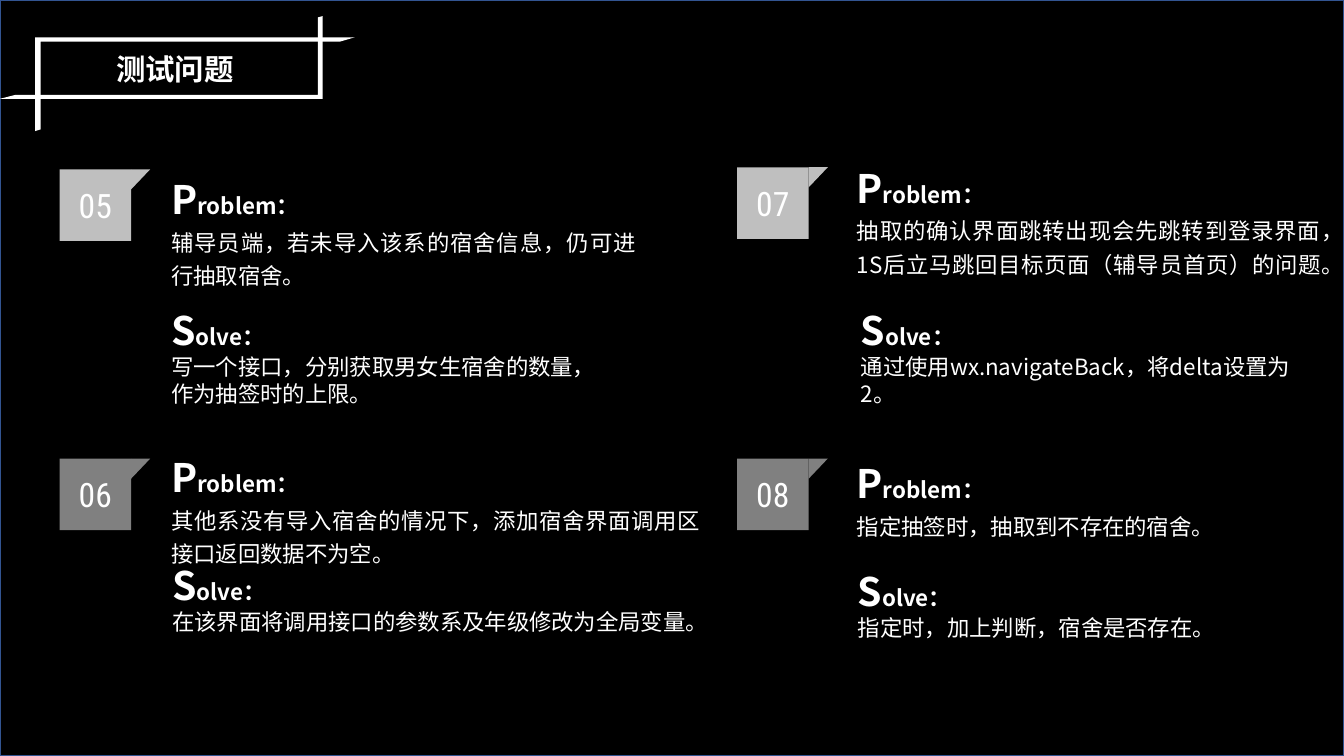
"""Build the slide of test problems 05 to 08 with their solutions."""
from pptx import Presentation
from pptx import util as u
from pptx.dml.color import RGBColor
from pptx.enum import shapes, text
from pptx.oxml.ns import qn
from lxml import etree

WIDTH, HEIGHT = 13.33, 7.5
BADGE, FOLD_WIDTH, FOLD_HEIGHT = 0.71, 0.19, 0.2
LATIN, CHINESE = "Roboto Condensed", "Noto Sans CJK SC"
COLOURS = {"black": "000000", "white": "FFFFFF", "edge": "325491", "light": "BFBFBF", "dark": "808080"}
LEFT_COLUMN, RIGHT_COLUMN = 0.59, 7.31


def add_block(parent, kind, bounds, colour, adjustments=()):
    block = parent.add_shape(kind, *map(u.Inches, bounds))
    block.shadow.inherit = False
    block.fill.solid()
    block.fill.fore_color.rgb = RGBColor.from_string(COLOURS[colour])
    block.line.fill.background()
    for index, value in enumerate(adjustments):
        block.adjustments[index] = value
    return block


def add_span(para, words, font, size, bold=False):
    span = para.add_run()
    span.text = words
    for name, value in {"name": font, "size": u.Pt(size), "bold": bold}.items():
        setattr(span.font, name, value)
    span.font.color.rgb = RGBColor.from_string(COLOURS["white"])
    etree.SubElement(span.font._element, qn("a:ea"), typeface=CHINESE)


deck = Presentation()
deck.slide_width, deck.slide_height = u.Inches(WIDTH), u.Inches(HEIGHT)
page = deck.slides.add_slide(deck.slide_layouts[5])

backdrop = add_block(page.shapes, shapes.MSO_SHAPE.RECTANGLE, (0, 0, WIDTH, HEIGHT), "black")
backdrop.line.color.rgb = RGBColor.from_string(COLOURS["edge"])
backdrop.line.width = u.Pt(1)

title = page.shapes.title
title.element.addprevious(backdrop.element)
for name, value in zip(("left", "top", "width", "height"), (1.04, 0.46, 1.39, 0.45)):
    setattr(title, name, u.Inches(value))
title.text_frame.word_wrap = False
title.text_frame.auto_size = text.MSO_AUTO_SIZE.SHAPE_TO_FIT_TEXT
title.text_frame.vertical_anchor = text.MSO_ANCHOR.TOP
heading = title.text_frame.paragraphs[0]
heading.alignment = text.PP_ALIGN.CENTER
add_span(heading, "测试问题", LATIN, 21, True)

for bounds, angle in (((0.35, 0.37, 3.17, 0.93), 0), ((0, 0.16, 3.2, 0.82), 180)):
    frame = add_block(page.shapes, shapes.MSO_SHAPE.HALF_FRAME, bounds, "white", (0.048, 0.057))
    frame.rotation = angle

badges = [
    ("05", LEFT_COLUMN, 1.68, "light"),
    ("06", LEFT_COLUMN, 4.55, "dark"),
    ("07", RIGHT_COLUMN, 1.66, "light"),
    ("08", RIGHT_COLUMN, 4.55, "dark"),
]
for number, left, top, colour in badges:
    badge = page.shapes.add_group_shape()
    square = add_block(badge.shapes, shapes.MSO_SHAPE.RECTANGLE, (left, top, BADGE, BADGE), colour)
    square.text_frame.vertical_anchor = text.MSO_ANCHOR.MIDDLE
    label = square.text_frame.paragraphs[0]
    label.alignment = text.PP_ALIGN.CENTER
    add_span(label, number, LATIN, 24)
    fold_bounds = (left + BADGE, top, FOLD_WIDTH, FOLD_HEIGHT)
    fold = add_block(badge.shapes, shapes.MSO_SHAPE.ISOSCELES_TRIANGLE, fold_bounds, colour, (0,))
    fold.element.spPr.find(qn("a:xfrm")).set("flipV", "1")

PROBLEM = ("P", "roblem：", {"alignment": text.PP_ALIGN.JUSTIFY, "line_spacing": 1.25})
SOLVE = ("S", "olve：", {})
notes = [
    (PROBLEM, (1.6, 1.57, 4.81, 1.33), "辅导员端，若未导入该系的宿舍信息，仍可进行抽取宿舍。"),
    (SOLVE, (1.6, 2.99, 4.56, 1.11), "写一个接口，分别获取男女生宿舍的数量，作为抽签时的上限。"),
    (PROBLEM, (1.6, 4.33, 5.45, 1.33), "其他系没有导入宿舍的情况下，添加宿舍界面调用区接口返回数据不为空。"),
    (SOLVE, (1.61, 5.52, 5.5, 0.84), "在该界面将调用接口的参数系及年级修改为全局变量。"),
    (PROBLEM, (8.4, 1.46, 4.81, 1.67),
     "抽取的确认界面跳转出现会先跳转到登录界面，1S后立马跳回目标页面（辅导员首页）的问题。"),
    (SOLVE, (8.44, 2.99, 4.56, 1.11), "通过使用wx.navigateBack，将delta设置为 2。"),
    (PROBLEM, (8.4, 4.39, 4.66, 1), "指定抽签时，抽取到不存在的宿舍。"),
    (SOLVE, (8.41, 5.58, 4.7, 0.84), "指定时，加上判断，宿舍是否存在。"),
]
for (initial, rest, layout), bounds, body in notes:
    box = page.shapes.add_textbox(*map(u.Inches, bounds))
    box.text_frame.word_wrap = True
    box.text_frame.auto_size = text.MSO_AUTO_SIZE.SHAPE_TO_FIT_TEXT
    lead, detail = box.text_frame.paragraphs[0], box.text_frame.add_paragraph()
    for para in (lead, detail):
        for name, value in layout.items():
            setattr(para, name, value)
    add_span(lead, initial, CHINESE, 28, True)
    add_span(lead, rest, CHINESE, 16, True)
    add_span(detail, body, CHINESE, 16)

deck.save("out.pptx")
